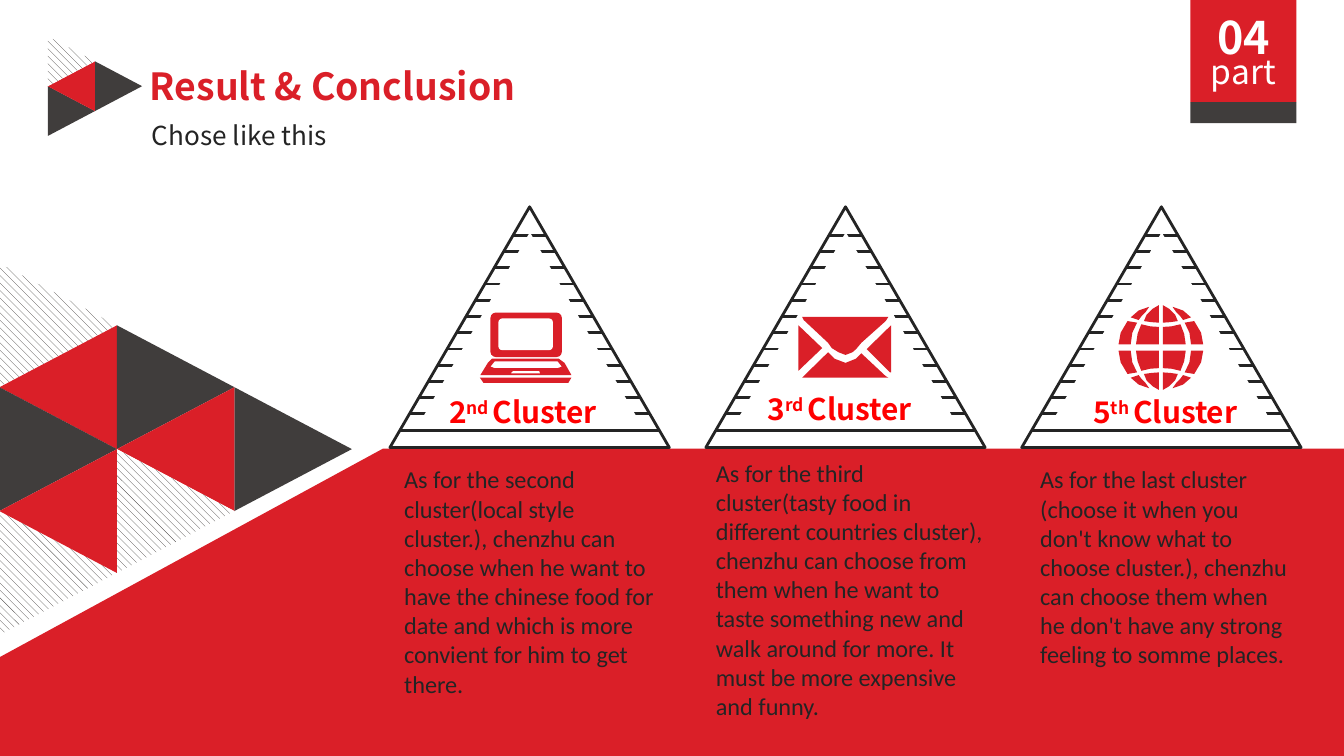
from lxml.etree import SubElement
from pptx import Presentation
from pptx.dml.color import RGBColor
from pptx.enum.dml import MSO_PATTERN
from pptx.enum.shapes import MSO_CONNECTOR, MSO_SHAPE
from pptx.enum.text import MSO_ANCHOR, MSO_AUTO_SIZE, PP_ALIGN
from pptx.oxml.ns import qn
from pptx.util import Cm, Pt

RED, DARK, INK, WHITE, BRIGHT = "DA1F28", "403D3C", "242424", "FFFFFF", "FF0000"
HATCH = "hatch"
SANS, BODY = "Noto Sans CJK SC", "Calibri"
RIGHT, LEFT = 90, 270

SMALL = [(0, 2, RIGHT, DARK), (1, 1, RIGHT, DARK), (0, 1, LEFT, RED), (0, 0, RIGHT, HATCH)]
LARGE = [
    (0, 0, RIGHT, HATCH), (0, 1, LEFT, RED), (0, 2, RIGHT, DARK),
    (1, 1, RIGHT, DARK), (0, 4, RIGHT, HATCH), (2, 2, RIGHT, DARK),
    (0, 3, LEFT, RED), (1, 2, LEFT, RED), (1, 3, RIGHT, HATCH),
]
BAND = [(7.24, 8.48), (25.4, 8.48), (25.4, 14.29), (0, 14.29), (0, 12.42)]
LAPTOP = [
    [(9.22, 6.86), (9.3, 6.78), (10.56, 6.78), (10.67, 6.86), (10.8, 7.09), (9.08, 7.09)],
    [(9.35, 6.83), (10.54, 6.83), (10.62, 6.93), (10.54, 6.96), (9.35, 6.96), (9.27, 6.93)],
    [(9.65, 7.06), (9.7, 7.01), (10.19, 7.01), (10.21, 7.06)],
    [(9.07, 7.14), (10.8, 7.14), (10.74, 7.24), (9.14, 7.24)],
]
MAIL = [
    [(15.09, 6.15), (15.09, 7.01), (15.54, 6.58)],
    [(15.65, 6.48), (15.72, 6.58), (15.85, 6.66), (15.98, 6.71), (16.11, 6.66),
     (16.18, 6.6), (16.28, 6.48), (16.74, 6.07), (16.79, 5.99), (15.16, 5.99), (15.19, 6.05)],
    [(16.28, 6.68), (16.18, 6.78), (15.98, 6.86), (15.77, 6.78), (15.65, 6.66),
     (15.19, 7.11), (15.16, 7.14), (16.79, 7.14), (16.74, 7.11)],
    [(16.82, 6.17), (16.38, 6.6), (16.82, 7.04), (16.84, 7.04), (16.84, 6.15)],
]
PANES = [
    [(0.57, 0.06), (0.8, 0.06), (0.76, 0.28), (0.63, 0.5), (0.45, 0.47), (0.54, 0.28)],
    [(0.37, 0.44), (0.2, 0.4), (0.04, 0.39), (0.04, 0.06), (0.47, 0.06), (0.44, 0.26)],
    [(0.27, 0.62), (0.16, 0.73), (0.04, 0.8), (0.04, 0.47), (0.18, 0.48), (0.32, 0.5)],
    [(0.29, 0.67), (0.36, 0.6), (0.42, 0.52), (0.57, 0.57), (0.42, 0.7), (0.22, 0.77)],
]
CARDS = [
    ("2", "nd ", 7.09, 7.32, 7.39, 8.66, 5.28,
     "As for the second cluster(local style cluster.), chenzhu can choose when he want to "
     "have the chinese food for date and which is more convient for him to get there."),
    ("3", "rd ", 13.08, 7.26, 13.28, 8.53, 5.59,
     "As for the third cluster(tasty food in different countries cluster), chenzhu can choose "
     "from them when he want to taste something new and walk around for more. "
     "It must be more expensive and funny."),
    ("5", "th ", 19.23, 7.32, 19.41, 8.66, 5.28,
     "As for the last cluster (choose it when you don't know what to choose cluster.), chenzhu "
     "can choose them when he don't have any strong feeling to somme places."),
]


def tint(code):
    """Turn a hex string into a colour."""
    return RGBColor.from_string(code)


def paint(shape, fill, line=None):
    """Set the fill and outline of a shape and drop its shadow."""
    shape.shadow.inherit = False
    if fill == HATCH:
        shape.fill.patterned()
        shape.fill.pattern = MSO_PATTERN.WIDE_DOWNWARD_DIAGONAL
        shape.fill.fore_color.rgb = tint(DARK)
        shape.fill.back_color.rgb = tint(WHITE)
    elif fill:
        shape.fill.solid()
        shape.fill.fore_color.rgb = tint(fill)
    else:
        shape.fill.background()
    if line:
        shape.line.color.rgb = tint(line)
        shape.line.width = Pt(1.5)
    else:
        shape.line.fill.background()


def block(shapes, kind, box, fill, line=None):
    """Add a preset shape."""
    shape = shapes.add_shape(kind, *map(Cm, box))
    paint(shape, fill, line)
    return shape


def outline(shapes, loops, fill):
    """Add one freeform made of closed loops."""
    loops = [[(Cm(x), Cm(y)) for x, y in loop] for loop in loops]
    pen = shapes.build_freeform(*loops[0][0], scale=1.0)
    for loop in loops:
        pen.move_to(*loop[0])
        pen.add_line_segments(loop[1:], close=True)
    paint(pen.convert_to_shape(), fill)


def write(frame, runs, font, size, color, bold=False, align=PP_ALIGN.LEFT):
    """Fill a text frame with (text, raised) runs."""
    frame.word_wrap = True
    frame.auto_size = MSO_AUTO_SIZE.NONE
    frame.vertical_anchor = MSO_ANCHOR.TOP
    para = frame.paragraphs[0]
    para.alignment = align
    for text, raised in runs:
        run = para.add_run()
        run.text = text
        run.font.name, run.font.size, run.font.bold = font, Pt(size), bold
        run.font.color.rgb = tint(color)
        if raised:
            run.font._element.set("baseline", "30000")


def label(shapes, box, runs, *style, **more):
    """Add a text box."""
    write(shapes.add_textbox(*map(Cm, box)).text_frame, runs, *style, **more)


def mosaic(shapes, left, top, wide, half, tiles):
    """Lay sideways triangles on a grid of centres."""
    group = shapes.add_group_shape().shapes
    for col, row, turn, fill in tiles:
        x, y = left + col * wide, top + row * half
        box = (x - half, y - wide / 2, 2 * half, wide)
        block(group, MSO_SHAPE.ISOSCELES_TRIANGLE, box, fill).rotation = turn


def ruler(shapes, left):
    """Draw a triangle with tick marks along its two sides."""
    top, wide, high = 3.91, 5.28, 4.55
    group = shapes.add_group_shape().shapes
    block(group, MSO_SHAPE.ISOSCELES_TRIANGLE, (left, top, wide, high), None, INK)
    for step in range(13):
        y = 8.13 - step * 3.68 / 12
        inset = (top + high - y) / high * wide / 2
        ends = map(Cm, (left + inset, y, left + wide - inset, y))
        tick = group.add_connector(MSO_CONNECTOR.STRAIGHT, *ends)
        tick.line.color.rgb = tint(INK)
        tick.line.width = Pt(1.5)
        SubElement(tick._element.spPr, qn("a:effectLst"))
    block(shapes, MSO_SHAPE.ISOSCELES_TRIANGLE, (left + 0.5, 4.39, 4.29, 3.71), WHITE)


def badge(shapes):
    """Draw the part number in the corner."""
    group = shapes.add_group_shape().shapes
    block(group, MSO_SHAPE.RECTANGLE, (22.5, 0, 2, 1.93), RED)
    block(group, MSO_SHAPE.RECTANGLE, (22.5, 1.93, 2, 0.4), DARK)
    mid = PP_ALIGN.CENTER
    label(group, (22.5, 0.05, 2, 1.27), [("04", False)], SANS, 24, WHITE, bold=True, align=mid)
    label(group, (22.5, 0.84, 2, 1.02), [("part", False)], SANS, 18, WHITE, align=mid)


def laptop(shapes):
    """Draw the laptop icon."""
    group = shapes.add_group_shape().shapes
    for box, fill in (((9.27, 5.91, 1.35, 0.84), RED), ((9.42, 6.02, 1.03, 0.6), WHITE)):
        block(group, MSO_SHAPE.ROUNDED_RECTANGLE, box, fill).adjustments[0] = 0.12
    outline(group, LAPTOP, RED)


def globe(shapes):
    """Draw the globe icon by mirroring one quarter."""
    loops = [[(21.94 + h * x, 6.57 + v * y) for x, y in pane]
             for h in (1, -1) for v in (1, -1) for pane in PANES]
    outline(shapes, loops, RED)


def card(shapes, num, suffix, hx, hy, bx, by, wide, text):
    """Write the heading and body of one cluster."""
    runs = [(num, False), (suffix, True), ("Cluster", False)]
    label(shapes, (hx, hy, 5.59, 0.94), runs, SANS, 16, BRIGHT, bold=True, align=PP_ALIGN.CENTER)
    label(shapes, (bx, by, wide, 5.26), [(text, False)], BODY, 13, INK)


def main():
    """Build the slide and save it."""
    deck = Presentation()
    deck.slide_width, deck.slide_height = Cm(25.4), Cm(14.29)
    slide = deck.slides.add_slide(deck.slide_layouts[5])
    shapes = slide.shapes
    title = shapes.title
    title.left, title.top, title.width, title.height = map(Cm, (2.24, 1.07, 8.1, 1.12))
    write(title.text_frame, [("Result & Conclusion", False)], SANS, 20, RED,
          bold=True, align=PP_ALIGN.CENTER)
    label(shapes, (2.62, 2.13, 12.07, 0.86), [("Chose like this", False)], SANS, 14, INK)
    mosaic(shapes, 1.35, 1.16, 0.89, 0.47, SMALL)
    badge(shapes)
    mosaic(shapes, 1.1, 6.15, 2.22, 1.17, LARGE)
    outline(shapes, [BAND], RED)
    for col in range(3):
        ruler(shapes, 7.37 + col * 5.97)
    laptop(shapes)
    outline(shapes, MAIL, RED)
    globe(shapes)
    for item in CARDS:
        card(shapes, *item)
    deck.save("out.pptx")


if __name__ == "__main__":
    main()
